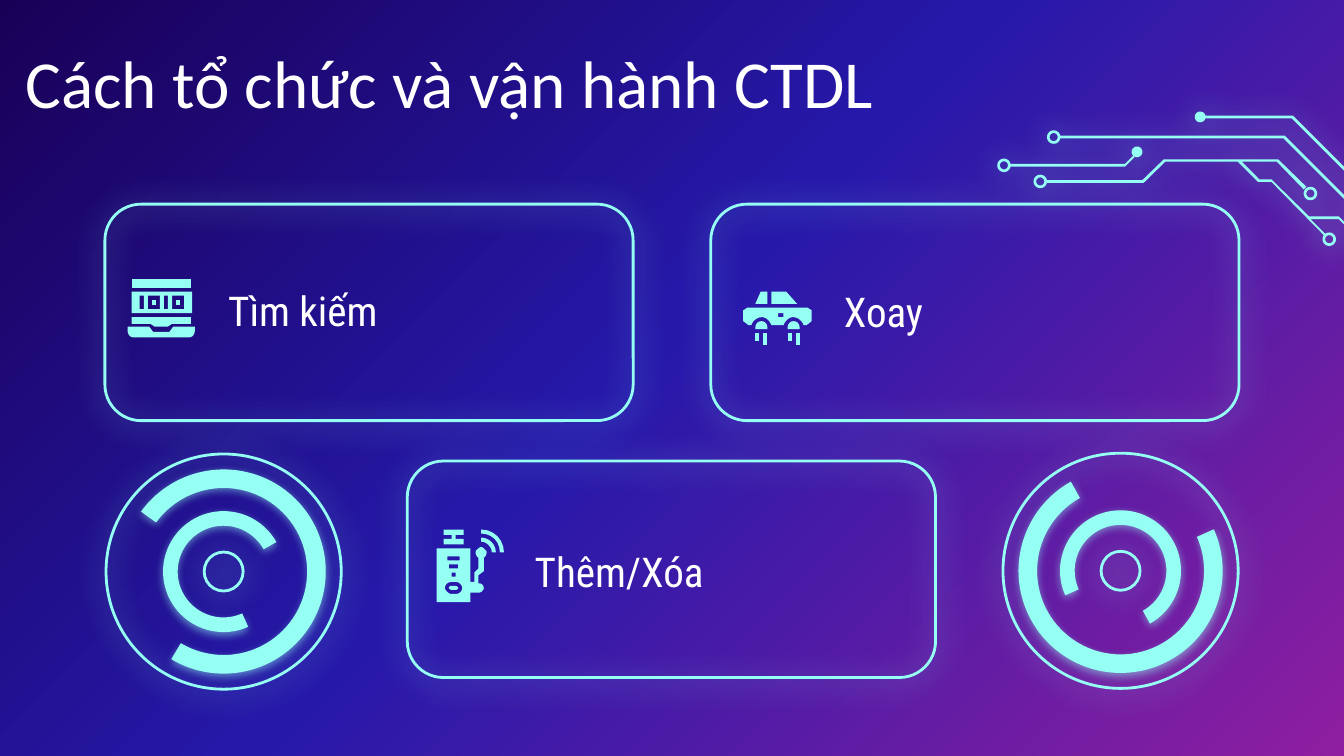
from copy import deepcopy
from math import cos, pi, sin

from lxml.etree import SubElement
from pptx import Presentation
from pptx.dml.color import RGBColor
from pptx.enum.shapes import MSO_SHAPE
from pptx.enum.text import MSO_ANCHOR
from pptx.oxml.ns import qn
from pptx.util import Pt

THEME = {
    "neon": "96FFF3", "card_glow": "98FAFC", "text": "FFFFFF",
    "gradient": [(0, "190057"), (0.48, "2619AA"), (1, "8F1EA0")],
    "title_font": "Calibri", "title_size": 36,
    "label_font": "Roboto Condensed", "label_size": 22,
}
GRID = 0.72


def paint(shape, filled, glow_color=None, opacity=67, blur=15.8):
    neon = RGBColor.from_string(THEME["neon"])
    if filled:
        shape.fill.solid()
        shape.fill.fore_color.rgb = neon
        shape.line.fill.background()
    else:
        shape.fill.background()
        shape.line.color.rgb = neon
        shape.line.width = Pt(1.5)
    shape.shadow.inherit = False
    if glow_color:
        effects = shape._element.spPr.find(qn("a:effectLst"))
        glow = SubElement(effects, qn("a:outerShdw"), blurRad=str(Pt(blur)), dist=str(Pt(1.5)),
                          dir="5400000", algn="bl", rotWithShape="0")
        color = SubElement(glow, qn("a:srgbClr"), val=glow_color)
        SubElement(color, qn("a:alpha"), val=str(opacity * 1000))


def add_outline(shapes, contours, glow_color=None):
    builder = None
    for contour in contours:
        points = []
        if len(contour) == 3 and isinstance(contour, tuple):
            x, y, radius = contour
            points = [(x + radius * cos(k * pi / 16), y + radius * sin(k * pi / 16)) for k in range(32)]
        elif isinstance(contour, tuple):
            left, top, right, bottom = contour
            points = [(left, top), (left, bottom), (right, bottom), (right, top)]
        else:
            for step in contour:
                if len(step) == 2:
                    points.append(step)
                    continue
                knots = [points[-1], step[:2], step[2:4], step[4:]]
                for t in (k / 6 for k in range(1, 7)):
                    weights = ((1 - t) ** 3, 3 * t * (1 - t) ** 2, 3 * t * t * (1 - t), t ** 3)
                    points.append(tuple(sum(w * knot[axis] for w, knot in zip(weights, knots))
                                        for axis in (0, 1)))
        points = [(Pt(x * GRID), Pt(y * GRID)) for x, y in points]
        if builder is None:
            builder = shapes.build_freeform(*points[0], scale=1.0)
        else:
            builder.move_to(*points[0])
        builder.add_line_segments(points[1:], close=True)
    paint(builder.convert_to_shape(), True, glow_color)


presentation = Presentation()
presentation.slide_width, presentation.slide_height = Pt(720), Pt(405)
slide = presentation.slides.add_slide(presentation.slide_layouts[6])

background = slide.background.fill
background.gradient()
background.gradient_angle = 315
stop_list = next(slide._element.iter(qn("a:gsLst")))
stop_list.append(deepcopy(stop_list[-1]))
for stop, (position, color) in zip(background.gradient_stops, THEME["gradient"]):
    stop.position = position
    stop.color.rgb = RGBColor.from_string(color)

for left, top in [(380.8, 109.4), (218.2, 247), (56.2, 109.4)]:
    card = slide.shapes.add_shape(MSO_SHAPE.ROUNDED_RECTANGLE, Pt(left), Pt(top), Pt(283), Pt(116))
    card.adjustments[0] = 0.167
    paint(card, False, THEME["card_glow"])

short_trace = [
    [(752, 124), (837, 124), (844, 117), (843, 116), (837, 122), (752, 122)],
    (747, 123, 5), (747, 123, 3), (846, 113, 4),
]
upper_trace = [
    [(897, 88), (961, 88), (1032, 159), (1090, 159), (1090, 157), (1033, 157), (962, 86), (897, 86)],
    (893, 87, 4), (1094, 158, 4),
]
branched_trace = [
    [(779, 136), (851, 136), (867, 120.3), (921, 120.3), (936, 135.3), (946, 135.3), (985, 175),
     (986, 174), (975, 163), (996, 163), (1021, 188), (1084, 188), (1097, 175), (1151, 175),
     (1151, 173), (1028, 173), (956, 101), (789, 101), (789, 103), (955, 103), (1027, 175),
     (1094, 175), (1083, 186), (1022, 186), (996, 161), (974, 161), (946, 133.5), (937, 133.5),
     (924, 120.3), (950, 120.3), (970, 141), (972, 139), (951, 118.5), (866, 118.5), (850, 134),
     (779, 134)],
]
for x, y in [(784, 102), (989, 178), (975, 144), (774, 135)]:
    branched_trace += [(x, y, 5), (x, y, 3)]
circuit = slide.shapes.add_group_shape()
for trace in (short_trace, upper_trace, branched_trace):
    add_outline(circuit.shapes, trace, THEME["neon"])

antenna_icon = [
    [[(358, 400), (358, 403), (362, 403, 366, 407, 366, 411), (369, 411), (369, 405, 364, 400, 358, 400)]],
    [[(358, 394), (358, 397), (366, 397, 372, 403, 372, 411), (375, 411), (375, 402, 368, 394, 358, 394)]],
    [[(330, 394), (330, 398), (336, 398), (336, 401), (330, 401), (330, 405), (345, 405), (345, 401),
      (339, 401), (339, 398), (345, 398), (345, 394)]],
    [[(336, 436), (335, 436, 335, 436, 334, 437), (334, 438, 335, 439, 336, 439), (339, 439),
      (340, 439, 341, 438, 341, 438), (341, 437, 340, 436, 339, 436)]],
    [(333, 414, 342, 417), (334, 420, 341, 423), (336, 426, 339, 429),
     [(339, 433), (341, 433, 343, 434, 344, 437), (344, 440, 342, 442, 339, 442), (336, 442),
      (334, 442, 332, 440, 331, 438), (331, 435, 333, 433, 336, 433)],
     [(358, 407), (357, 407, 356, 408, 355, 409), (353, 410, 354, 414, 356, 415), (356, 423),
      (353, 426), (353, 433), (350, 433), (350, 408), (325, 408), (325, 448), (350, 448),
      (350, 441), (356, 441), (358, 441, 359, 440, 360, 438), (360, 436, 359, 434, 356, 434),
      (356, 428), (360, 425), (360, 415), (362, 414, 363, 410, 361, 409),
      (360, 408, 359, 407, 358, 407)]],
]
laptop_icon = [
    [(113, 223, 116, 227)], [(98, 208, 142, 214)], [(131, 223, 134, 227)],
    [(104, 220, 107, 230), (110, 220, 119, 230), (122, 220, 125, 230), (128, 220, 137, 230),
     (98, 217, 143, 233)],
    [[(98, 236), (98, 241), (112, 241), (115, 243), (125, 243), (128, 241), (142, 241), (142, 236)]],
    [[(95, 243), (95, 246), (95, 249, 97, 251, 99, 251), (141, 251), (143, 251, 145, 249, 145, 246),
      (145, 243), (129, 243), (126, 247), (114, 247), (111, 243)]],
]
car_icon = [
    [[(566, 217), (562, 226), (571, 226), (571, 217)]],
    [[(574, 217), (574, 226), (593, 226), (585, 217)]],
    [(579, 233, 583, 236),
     [(556, 229), (553, 231), (553, 239), (557, 242), (559, 242), (560, 239, 563, 236, 567, 236),
      (570, 236, 573, 239, 574, 242), (583, 242), (584, 239, 587, 236, 590, 236),
      (594, 236, 597, 239, 598, 242), (600, 242), (604, 239), (604, 231), (601, 229)]],
]
for x in (562, 586):
    car_icon += [
        [(x, 248, x + 3, 254)], [(x + 6, 248, x + 9, 257)],
        [[(x + 4.5, 239), (x + 2, 239, x, 241, x, 244), (x, 245), (x + 9, 245), (x + 9, 244),
          (x + 9, 241, x + 7, 239, x + 4.5, 239)]],
    ]
for icon in (antenna_icon, laptop_icon, car_icon):
    group = slide.shapes.add_group_shape()
    for part in icon:
        add_outline(group.shapes, part)

texts = [
    ("Cách tổ chức và vận hành CTDL", 13.7, 22.3, 607, 54.7, "title", 0, MSO_ANCHOR.TOP),
    ("Tìm kiếm", 115.2, 150.5, 184.3, 31, "label", 7.2, MSO_ANCHOR.MIDDLE),
    ("Xoay", 445, 151.2, 184.3, 31, "label", 7.2, MSO_ANCHOR.MIDDLE),
    ("Thêm/Xóa", 279.4, 290.2, 184.3, 31, "label", 7.2, MSO_ANCHOR.MIDDLE),
]
for text, left, top, width, height, role, inset, anchor in texts:
    frame = slide.shapes.add_textbox(Pt(left), Pt(top), Pt(width), Pt(height)).text_frame
    frame.word_wrap = True
    frame.vertical_anchor = anchor
    frame.margin_left = frame.margin_right = frame.margin_top = frame.margin_bottom = Pt(inset)
    run = frame.paragraphs[0].add_run()
    run.text = text
    run.font.name = THEME[role + "_font"]
    run.font.size = Pt(THEME[role + "_size"])
    run.font.color.rgb = RGBColor.from_string(THEME["text"])

for center_x, center_y, outer_turn, inner_turn in [(119.8, 306.2, 90, 300), (600.3, 305.8, 210, 30)]:
    dial = slide.shapes.add_group_shape()
    for size, turn, thickness in [(126, 0, 0), (109.4, outer_turn, 0.091), (20.9, 0, 0),
                                  (64.8, inner_turn, 0.121)]:
        kind = MSO_SHAPE.BLOCK_ARC if thickness else MSO_SHAPE.OVAL
        ring = dial.shapes.add_shape(kind, Pt(center_x - size / 2), Pt(center_y - size / 2),
                                     Pt(size), Pt(size))
        if thickness:
            for index, value in enumerate((75.583, 18.505, thickness)):
                ring.adjustments[index] = value
            ring.rotation = turn
            paint(ring, True, THEME["neon"], 50, 4.5)
        else:
            paint(ring, False, THEME["neon"])

presentation.save("out.pptx")
